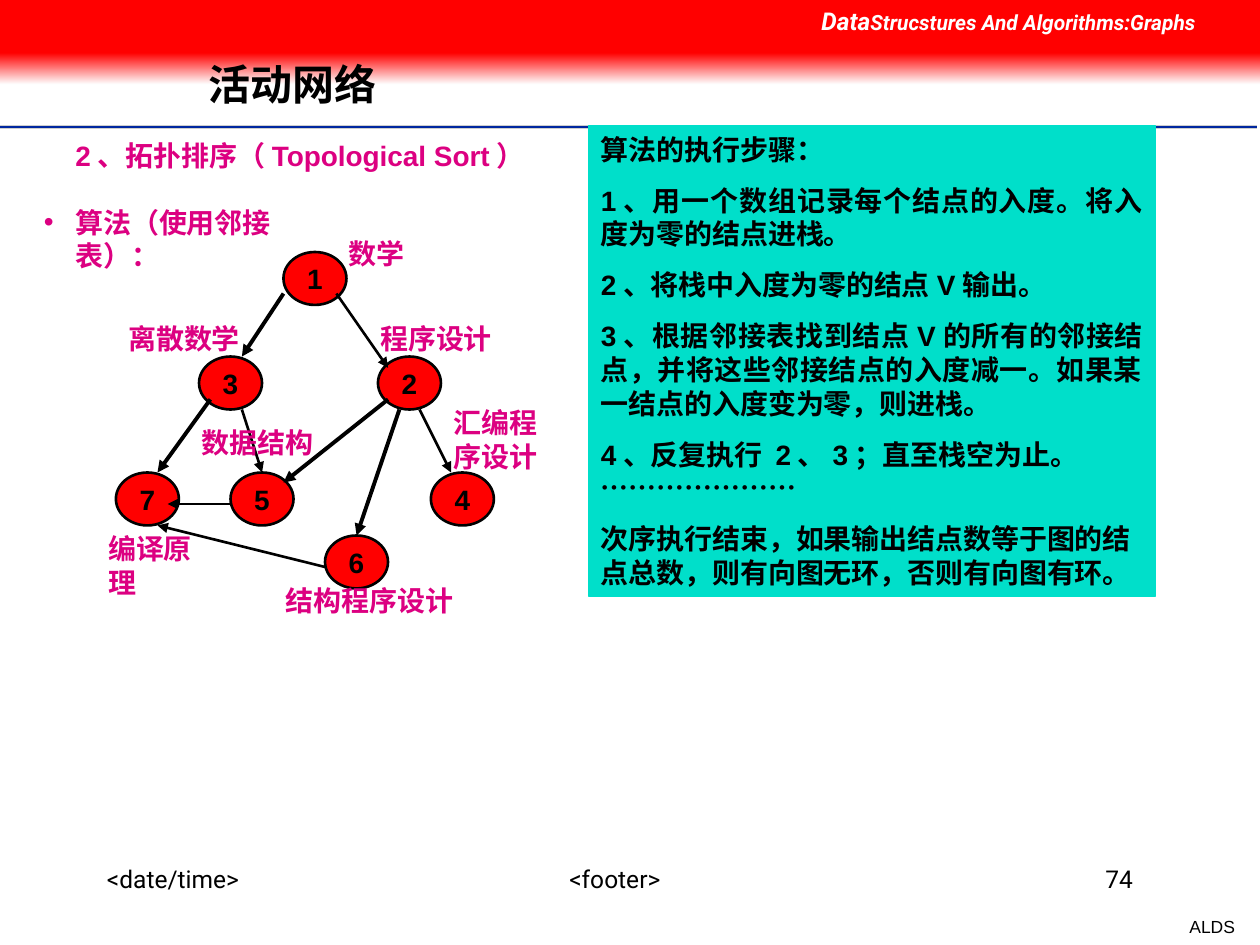
from lxml import etree
from pptx import Presentation
from pptx.dml import color
from pptx.enum import shapes, text
from pptx.oxml import ns
from pptx.util import Inches, Pt

BLACK, WHITE, RED, MAGENTA, TEAL = "000000", "FFFFFF", "FF0000", "DC0081", "00DFCA"
LEFT, CENTER, RIGHT, JUSTIFY = (
    text.PP_ALIGN.LEFT, text.PP_ALIGN.CENTER, text.PP_ALIGN.RIGHT, text.PP_ALIGN.JUSTIFY)


def rgb(value):
    return color.RGBColor.from_string(value)


def add_child(parent, tag, **attributes):
    return etree.SubElement(parent, ns.qn(tag), attributes)


def add_run(paragraph, words, size=16, hue=BLACK, bold=True, italic=False, face="Arial"):
    run = paragraph.add_run()
    run.text = words
    run.font.size = Pt(size)
    run.font.name = face
    run.font.bold = bold
    run.font.italic = italic
    run.font.color.rgb = rgb(hue)


def add_label(slide, box, words, align=LEFT, wrap=True, grow=True, indent=0, **style):
    label = slide.shapes.add_textbox(*map(Inches, box))
    frame = label.text_frame
    frame.word_wrap = wrap
    frame.auto_size = (
        text.MSO_AUTO_SIZE.SHAPE_TO_FIT_TEXT if grow else text.MSO_AUTO_SIZE.NONE)
    paragraph = frame.paragraphs[0]
    paragraph.alignment = align
    if indent:
        paragraph.level = 1
        properties = paragraph._p.get_or_add_pPr()
        properties.set("marL", str(Inches(indent)))
        properties.set("indent", "0")
    if words:
        add_run(paragraph, words, **style)
    return frame


def add_block(slide, kind, box, fill, outline=None, width=0.75):
    block = slide.shapes.add_shape(kind, *map(Inches, box))
    block.shadow.inherit = False
    block.fill.solid()
    block.fill.fore_color.rgb = rgb(fill)
    if outline:
        block.line.color.rgb = rgb(outline)
        block.line.width = Pt(width)
    else:
        block.line.fill.background()
    return block


def add_line(slide, start, end, hue=BLACK, width=1.5, arrow=False):
    line = slide.shapes.add_connector(
        shapes.MSO_CONNECTOR.STRAIGHT, *map(Inches, (*start, *end)))
    line.line.color.rgb = rgb(hue)
    line.line.width = Pt(width)
    if arrow:
        add_child(line.line._get_or_add_ln(), "a:tailEnd", type="triangle")
    add_child(line._element.spPr, "a:effectLst")


def build_header(slide, left, top, width):
    for offset, hue, weight in ((1.01, "CECECE", 2), (1.01, "00279F", 1), (1.03, WHITE, 1)):
        add_line(slide, (left, top + offset), (left + width - 0.02, top + offset), hue, weight)
    fade = add_block(slide, shapes.MSO_SHAPE.RECTANGLE, (left, top + 0.42, width, 0.25), RED)
    fade.fill.gradient()
    fade.fill.gradient_angle = 270
    for stop, hue, position in zip(fade.fill.gradient_stops, (RED, "FEFEFE"), (0, 1)):
        stop.color.rgb = rgb(hue)
        stop.position = position
    add_block(slide, shapes.MSO_SHAPE.RECTANGLE, (left, top, width, 0.42), RED)
    course = add_label(slide, (left + 6.42, top, 3.58, 0.34), "Data", size=14, hue=WHITE,
                       italic=True, face="Roboto")
    add_run(course.paragraphs[0], "Strucstures And Algorithms:Graphs", 12, WHITE,
            italic=True, face="Roboto")
    title = add_label(slide, (left + 1.56, top + 0.32, 7.55, 0.74), "活动网络",
                      grow=False, size=24)
    title.vertical_anchor = text.MSO_ANCHOR.MIDDLE
    title.paragraphs[0].line_spacing = 0.9


def build_footer(slide, left, top):
    for offset, width, words, align in ((0, 1.92, "<date/time>", LEFT),
                                        (2.67, 2.92, "<footer>", CENTER),
                                        (6.42, 1.92, "74", RIGHT)):
        add_label(slide, (left + offset, top, width, 0.5), words, align, grow=False,
                  size=14, bold=False, face="Roboto")
    add_label(slide, (left + 8.59, top + 0.41, 0.56, 0.27), "ALDS", RIGHT, wrap=False,
              size=10, bold=False)


def build_topic(slide, left, top):
    add_label(slide, (left, top, 4.83, 0.37), "2、拓扑排序（Topological Sort）",
              indent=0.5, hue=MAGENTA)
    method = add_label(slide, (left, top + 0.53, 2.25, 0.64), "", indent=0.5).paragraphs[0]
    properties = method._p.get_or_add_pPr()
    properties.set("indent", str(Inches(-0.25)))
    add_child(add_child(properties, "a:buClr"), "a:srgbClr", val=MAGENTA)
    add_child(properties, "a:buFont", typeface="Arial")
    add_child(properties, "a:buChar", char="•")
    add_run(method, "算法（使用邻接表）：", hue=MAGENTA)


def build_steps(slide, left, top, width, height):
    steps = (
        (LEFT, ["算法的执行步骤："]),
        (JUSTIFY, ["1、用一个数组记录每个结点的入度。将入度为零的结点进栈。"]),
        (JUSTIFY, ["2、将栈中入度为零的结点V输出。"]),
        (JUSTIFY, ["3、根据邻接表找到结点V的所有的邻接结点，并将这些邻接结点的入度减一。"
                   "如果某一结点的入度变为零，则进栈。"]),
        (LEFT, ["4、反复执行 2、3；直至栈空为止。", "…………………"]),
        (LEFT, ["次序执行结束，如果输出结点数等于图的结点总数，则有向图无环，否则有向图有环。"]),
    )
    panel = add_block(slide, shapes.MSO_SHAPE.RECTANGLE, (left, top, width, height), TEAL, TEAL)
    frame = panel.text_frame
    frame.word_wrap = True
    frame.auto_size = text.MSO_AUTO_SIZE.SHAPE_TO_FIT_TEXT
    frame.vertical_anchor = text.MSO_ANCHOR.TOP
    for index, (align, lines) in enumerate(steps):
        step = frame.add_paragraph() if index else frame.paragraphs[0]
        step.alignment = align
        if index:
            step.space_before = Pt(10)
        for number, words in enumerate(lines):
            if number:
                step.add_line_break()
            add_run(step, words)


def build_graph(slide, left, top):
    courses = {"1": (1.33, 0.17), "3": (0.66, 1), "2": (2.08, 1), "7": (0, 1.92),
               "5": (0.91, 1.92), "6": (1.66, 2.42), "4": (2.5, 1.92)}
    thin, thick = 1.5, 2.25
    arrows = (
        ((1.33, 0.5), (1, 1), thick),
        ((0.75, 1.34), (0.33, 1.92), thick),
        ((1.75, 0.5), (2.16, 1.09), thin),
        ((1, 1.42), (1.16, 1.92), thin),
        ((2.25, 1.42), (1.91, 2.42), thick),
        ((2.41, 1.42), (2.66, 1.92), thin),
        ((2.16, 1.34), (1.33, 2), thick),
        ((0.91, 2.17), (0.41, 2.17), thin),
        ((1.66, 2.67), (0.33, 2.34), thin),
    )
    names = (
        ("数学", 1.75, 0, 0.75, 0.37, 0, True),
        ("程序设计", 1.5, 0.67, 1.67, 0.37, 0.5, True),
        ("离散数学", 0, 0.67, 1.33, 0.37, 0, True),
        ("汇编程序设计", 2.08, 1.34, 1.5, 0.64, 0.5, True),
        ("数据结构", 0.58, 1.5, 1.33, 0.37, 0, True),
        ("结构程序设计", 0.75, 2.75, 2.08, 0.37, 0.5, True),
        ("编译原理", -0.16, 2.34, 1.08, 0.37, 0, False),
    )
    for number, (x, y) in courses.items():
        node = add_block(slide, shapes.MSO_SHAPE.OVAL, (left + x, top + y, 0.5, 0.42),
                         RED, BLACK, 1.5)
        node.text_frame.word_wrap = False
        node.text_frame.vertical_anchor = text.MSO_ANCHOR.MIDDLE
        node.text_frame.paragraphs[0].alignment = CENTER
        add_run(node.text_frame.paragraphs[0], number)
    for start, end, width in arrows:
        add_line(slide, *((left + x, top + y) for x, y in (start, end)), width=width, arrow=True)
    for name, x, y, width, height, indent, wrap in names:
        add_label(slide, (left + x, top + y, width, height), name, wrap=wrap,
                  indent=indent, hue=MAGENTA)


def main():
    deck = Presentation()
    deck.slide_width, deck.slide_height = Inches(10), Inches(7.5)
    slide = deck.slides.add_slide(deck.slide_layouts[6])
    build_header(slide, 0, 0, 10)
    build_footer(slide, 0.75, 6.81)
    build_topic(slide, 0, 1.05)
    build_steps(slide, 4.67, 1, 4.5, 3.73)
    build_graph(slide, 0.92, 1.83)
    deck.save("out.pptx")


if __name__ == "__main__":
    main()
